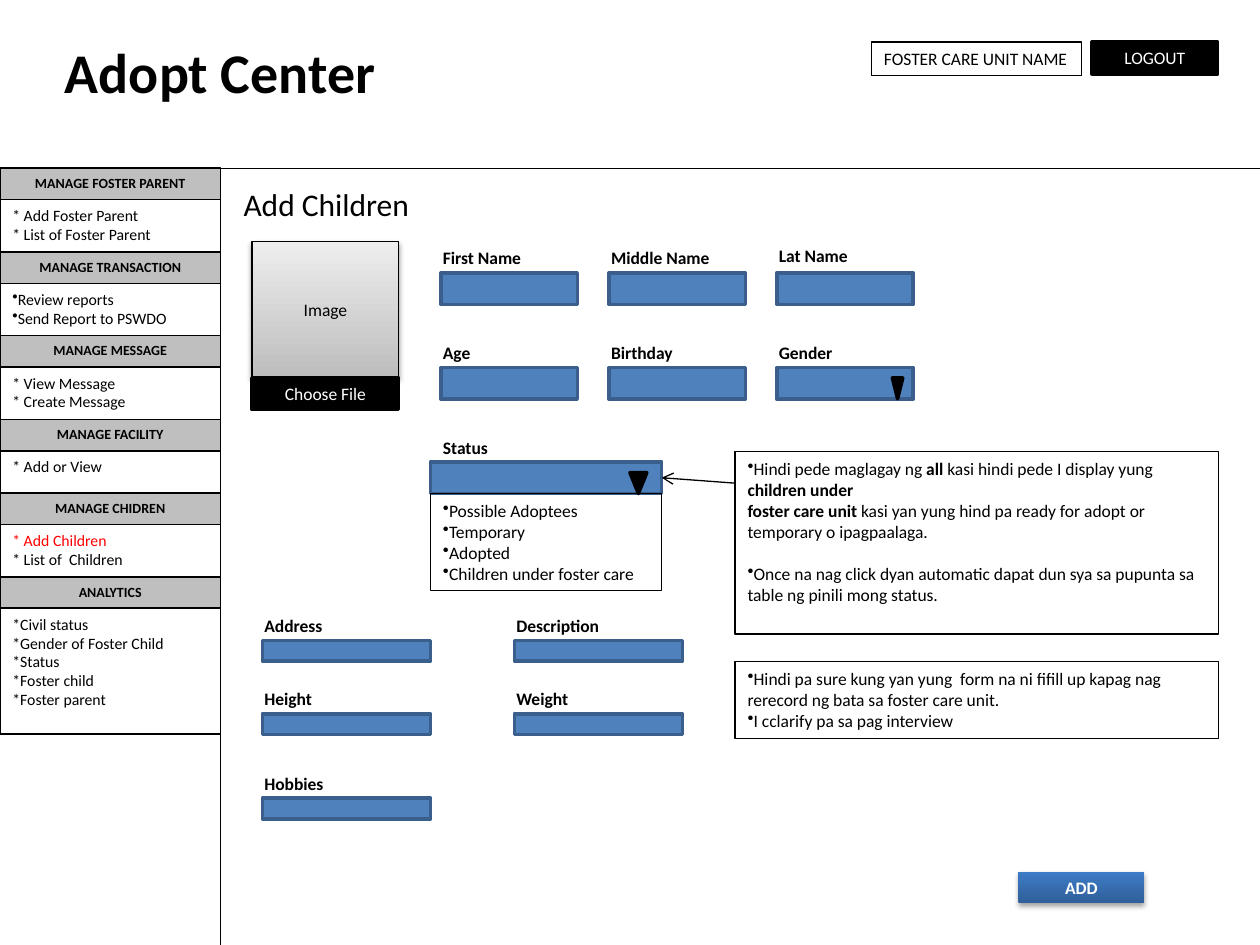
from lxml import etree
from pptx import Presentation
from pptx import util as u
from pptx.dml.color import RGBColor
from pptx.enum import shapes, text
from pptx.oxml import ns, parse_xml

COLORS = {
    "black": "000000", "white": "FFFFFF", "gray": "BFBFBF", "red": "FF0000",
    "blue": "4F81BD", "blue_edge": "3A5F8C",
    "image_dark": "BDBDBD", "image_light": "EEEEEE",
    "button_dark": "2F5F99", "button_light": "3D7CC7",
}
RGB = {name: RGBColor.from_string(value) for name, value in COLORS.items()}
RECT = shapes.MSO_SHAPE.RECTANGLE
MERGE = shapes.MSO_SHAPE.FLOWCHART_MERGE
CENTER = text.PP_ALIGN.CENTER
TOP, MIDDLE = text.MSO_ANCHOR.TOP, text.MSO_ANCHOR.MIDDLE

prs = Presentation()
prs.slide_width, prs.slide_height = u.Cm(25.4), u.Cm(19.05)
s = prs.slides.add_slide(prs.slide_layouts[6])


def box(at, fill=None, line="black", width=0.75, kind=RECT):
    """Add a shape at (left, top, width, height) in cm; a pair of fills is a gradient, bottom to top."""
    sp = s.shapes.add_shape(kind, *map(u.Cm, at))
    sp.shadow.inherit = False
    if isinstance(fill, tuple):
        sp.fill.gradient()
        sp.fill.gradient_angle = 90
        for stop, name in zip(sp.fill.gradient_stops, fill):
            stop.color.rgb = RGB[name]
        sp._element.spPr.find(ns.qn("a:effectLst")).append(parse_xml(
            f'<a:outerShdw {ns.nsdecls("a")} blurRad="39000" dist="21000" dir="5400000" rotWithShape="0">'
            '<a:srgbClr val="000000"><a:alpha val="37000"/></a:srgbClr></a:outerShdw>'))
    elif fill:
        sp.fill.solid()
        sp.fill.fore_color.rgb = RGB[fill]
    else:
        sp.fill.background()
    if line:
        sp.line.color.rgb = RGB[line]
        sp.line.width = u.Pt(width)
    else:
        sp.line.fill.background()
    return sp


def write(sp, lines, size=10, color="black", bold=False, align=None, anchor=TOP):
    """Fill a shape with paragraphs; a leading • makes a bullet and ** toggles bold."""
    tf = sp.text_frame
    tf.word_wrap = True
    tf.vertical_anchor = anchor
    for i, line in enumerate(lines):
        p = tf.add_paragraph() if i else tf.paragraphs[0]
        p.alignment = align or text.PP_ALIGN.LEFT
        if line.startswith("•"):
            pPr = p._p.get_or_add_pPr()
            pPr.set("marL", "0")
            pPr.set("indent", "0")
            etree.SubElement(pPr, ns.qn("a:buChar")).set("char", "•")
        for j, part in enumerate(line.removeprefix("•").split("**")):
            if part:
                r = p.add_run()
                r.text = part
                r.font.name, r.font.size = "Calibri", u.Pt(size)
                r.font.bold = bold or j % 2 == 1
                r.font.color.rgb = RGB[color]
    return tf


# Sidebar: each section is a gray heading over its links
SIDE_W, TOP_Y, HEAD_H = 4.45, 3.39, 0.63
sections = [
    ("MANAGE FOSTER PARENT", 1.06, ["* Add Foster Parent", "* List of Foster Parent"]),
    ("MANAGE TRANSACTION", 1.06, ["•Review reports", "•Send Report to PSWDO"]),
    ("MANAGE MESSAGE", 1.06, ["* View Message", "* Create Message"]),
    ("MANAGE FACILITY", 0.85, ["* Add or View"]),
    ("MANAGE CHIDREN", 1.06, ["* Add Children", "* List of  Children"]),
    ("ANALYTICS", 2.54, ["*Civil status", "*Gender of Foster Child", "*Status",
                         "*Foster child", "*Foster parent"]),
]
y = TOP_Y
for heading, body_h, links in sections:
    write(box((0, y, SIDE_W, HEAD_H), "gray"), [heading], size=8, bold=True, align=CENTER)
    tf = write(box((0, y + HEAD_H, SIDE_W, body_h), "white"), links, size=9)
    for p in tf.paragraphs:
        if p.text == "* Add Children":
            p.runs[0].font.color.rgb = RGB["red"]
    y += HEAD_H + body_h

# Header and photo
write(box((17.57, 0.85, 4.24, 0.68)), ["FOSTER CARE UNIT NAME"])
write(box((22.01, 0.85, 2.54, 0.64), "black", width=2), ["LOGOUT"],
      color="white", align=CENTER, anchor=MIDDLE)
write(box((5.08, 4.87, 2.96, 2.75), ("image_dark", "image_light")), ["Image"],
      align=CENTER, anchor=MIDDLE)
write(box((5.08, 7.62, 2.96, 0.64), "black", width=2), ["Choose File"],
      color="white", align=CENTER, anchor=MIDDLE)

# Form fields: label, label width, input left and top
GAP_X, LABEL_RISE = 0.21, 0.64
wide, narrow = (2.75, 0.64), (3.39, 0.42)
fields = [
    ("First Name", 2.11, 8.89, 5.5, wide),
    ("Middle Name", 2.51, 12.28, 5.5, wide),
    ("Lat Name", 1.93, 15.66, 5.5, wide),
    ("Age", 1.07, 8.89, 7.41, wide),
    ("Birthday", 1.78, 12.28, 7.41, wide),
    ("Gender", 1.6, 15.66, 7.41, wide),
    ("Address", 1.7, 5.29, 12.91, narrow),
    ("Description", 2.21, 10.37, 12.91, narrow),
    ("Height", 1.5, 5.29, 14.39, narrow),
    ("Weight", 1.6, 10.37, 14.39, narrow),
    ("Hobbies", 1.73, 5.29, 16.09, narrow),
]
labels = [
    ("Adopt Center", (1.06, 0.64, 11.22, 1.62), 32, True),
    ("Add Children", (4.66, 3.6, 5.5, 1.02), 18, False),
    ("Status", (8.68, 8.68, 1.45, 0.68), 10, True),
]
for name, label_w, x, y, size in fields:
    box((x, y, *size), "blue", "blue_edge", 2)
    label_y = y - LABEL_RISE - (0.05 if name == "Lat Name" else 0)
    labels.append((name, (x - GAP_X, label_y, label_w, 0.68), 10, True))
for name, at, size, bold in labels:
    tf = write(s.shapes.add_textbox(*map(u.Cm, at)), [name], size=size, bold=bold)
    tf.word_wrap = size > 10

# Status drop-down and its options
status = box((8.68, 9.31, 4.66, 0.64), "blue", "blue_edge", 2)
write(box((8.68, 9.95, 4.66, 1.95)),
      ["•Possible Adoptees", "•Temporary", "•Adopted", "•Children under foster care"])
for at in [(17.99, 7.62, 0.21, 0.42), (12.7, 9.53, 0.34, 0.42)]:
    box(at, "black", width=2, kind=MERGE)

# Notes
tf = write(box((14.82, 9.1, 9.74, 3.68)), [
    "•Hindi pede maglagay ng **all **kasi hindi pede I display yung **children under",
    "**foster care unit **kasi yan yung hind pa ready for adopt or temporary o ipagpaalaga.",
    "•Once na nag click dyan automatic dapat dun sya sa pupunta sa table ng pinili mong status.",
])
tf.paragraphs[2].space_before = u.Pt(12)
write(box((14.82, 13.34, 9.74, 1.55)), [
    "•Hindi pa sure kung yan yung  form na ni fifill up kapag nag rerecord ng bata sa foster care unit.",
    "•I cclarify pa sa pag interview",
])

write(box((20.53, 17.57, 2.54, 0.64), ("button_dark", "button_light"), line=None), ["ADD"],
      color="white", bold=True, align=CENTER, anchor=MIDDLE)

# Dividers and the arrow from the note to the status field
for ends in [(SIDE_W, TOP_Y, SIDE_W, 19.05), (0, TOP_Y, 25.4, TOP_Y), (14.82, 9.74, 13.34, 9.63)]:
    arrow = s.shapes.add_connector(shapes.MSO_CONNECTOR.STRAIGHT, *map(u.Cm, ends))
    arrow.line.color.rgb = RGB["black"]
    arrow.line.width = u.Pt(0.75)
    etree.SubElement(arrow._element.spPr, ns.qn("a:effectLst"))
arrow.end_connect(status, 3)
etree.SubElement(arrow.line._get_or_add_ln(), ns.qn("a:tailEnd")).set("type", "arrow")

prs.save("out.pptx")
